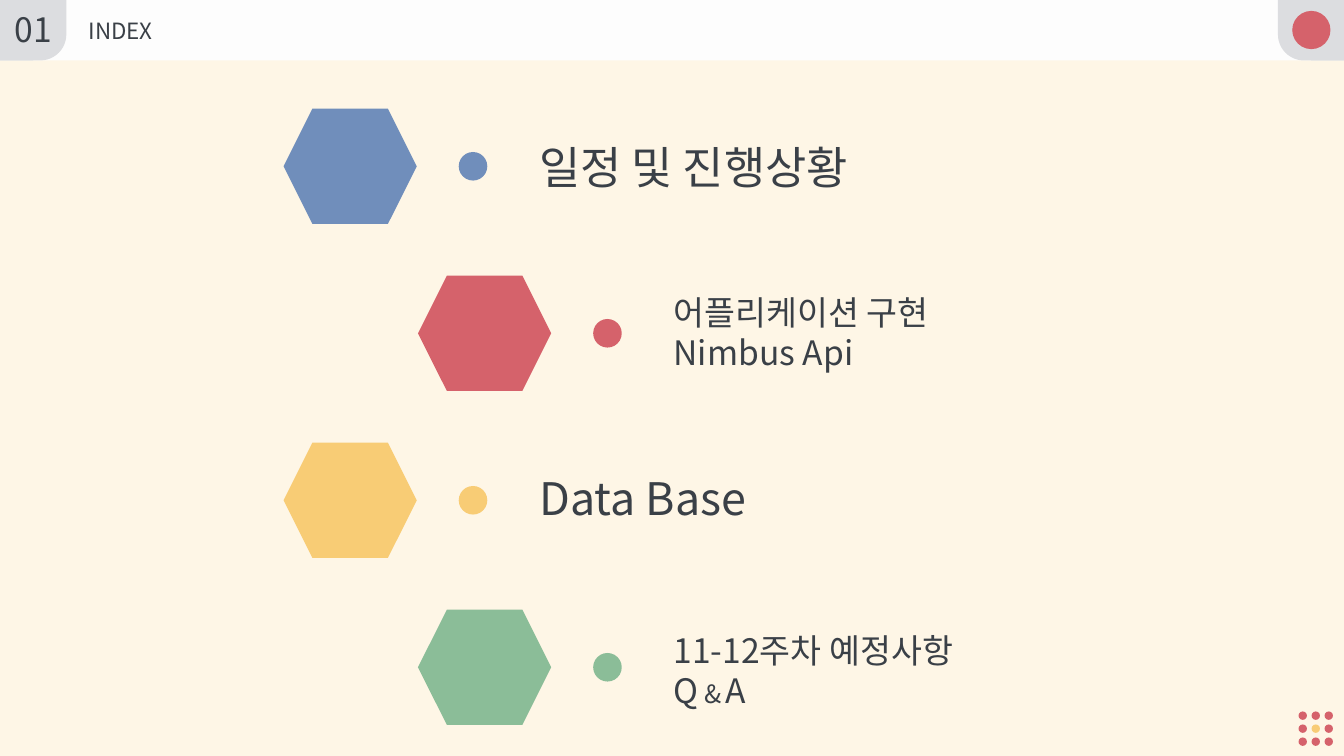
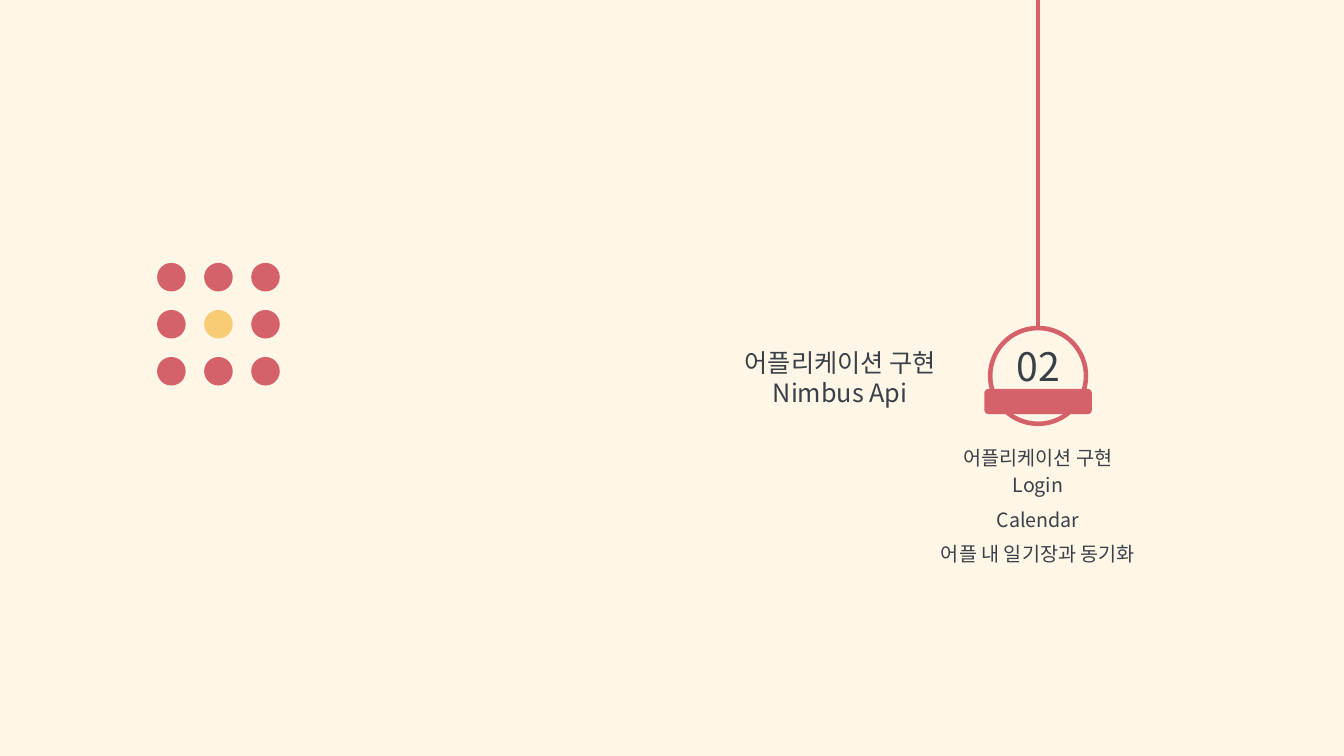
import pptx
import pptx.dml.color
import pptx.enum.shapes
import pptx.enum.text
import pptx.oxml.ns
import pptx.util
import lxml.etree

FONT = "Noto Sans CJK KR"
INK = "3A4047"
CREAM = "FEF6E6"
WHITE = "FDFDFD"
GRAY = "DCDDE0"
BLUE = "708EBB"
RED = "D5626B"
YELLOW = "F8CC75"
GREEN = "8BBD98"

color = pptx.dml.color.RGBColor.from_string
qualified = pptx.oxml.ns.qn
preset = pptx.enum.shapes.MSO_SHAPE
LEFT = pptx.enum.text.PP_ALIGN.LEFT
CENTER = pptx.enum.text.PP_ALIGN.CENTER

presentation = pptx.Presentation()
presentation.slide_width = pptx.util.Inches(13.33)
presentation.slide_height = pptx.util.Inches(7.5)
COLUMNS, ROWS = 160, 90
cell = presentation.slide_height / ROWS

background = presentation.slide_master.background.fill
background.solid()
background.fore_color.rgb = color(CREAM)
title_only = presentation.slide_layouts[5]


def add_filled(slide, kind, left, top, width, height, fill):
    box = [round(cell * value) for value in (left, top, width, height)]
    shape = slide.shapes.add_shape(kind, *box)
    shape.shadow.inherit = False
    shape.fill.solid()
    shape.fill.fore_color.rgb = color(fill)
    shape.line.fill.background()
    return shape


def write_text(shape, left, top, width, height, paragraphs, size, alignment=LEFT, gaps=()):
    shape.left, shape.top, shape.width, shape.height = [
        round(cell * value) for value in (left, top, width, height)]
    frame = shape.text_frame
    frame.word_wrap = True
    frame.auto_size = pptx.enum.text.MSO_AUTO_SIZE.NONE
    frame.vertical_anchor = pptx.enum.text.MSO_ANCHOR.TOP
    for index, runs in enumerate(paragraphs):
        paragraph = frame.add_paragraph() if index else frame.paragraphs[0]
        paragraph.alignment = alignment
        if index and gaps:
            paragraph.space_before = pptx.util.Pt(gaps[index - 1])
        for text, run_size in runs:
            run = paragraph.add_run()
            run.text = text
            run.font.size = pptx.util.Pt(run_size or size)
            run.font.name = FONT
            run.font.color.rgb = color(INK)
            east_asian = lxml.etree.SubElement(run.font._element, qualified("a:ea"))
            east_asian.set("typeface", FONT)


index_slide = presentation.slides.add_slide(title_only)
band_height, tab_width = 7.2, 7.9
add_filled(index_slide, preset.RECTANGLE, 0, 0, COLUMNS, band_height, WHITE)
for tab_left, edge_left, corners in (
        (0, 0, (0.43, 0)),
        (COLUMNS - tab_width, COLUMNS - tab_width / 2, (0, 0.43))):
    tab = add_filled(index_slide, preset.ROUND_2_DIAG_RECTANGLE,
                     tab_left, 0, tab_width, band_height, GRAY)
    tab.adjustments[0], tab.adjustments[1] = corners
    add_filled(index_slide, preset.RECTANGLE, edge_left, 0, tab_width / 2, band_height, GRAY)
add_filled(index_slide, preset.OVAL, 153.8, 1.3, 4.55, 4.55, RED)

number = index_slide.shapes.add_textbox(0, 0, 0, 0)
write_text(number, 0, 0.5, tab_width, 6, [[("01", None)]], 24, CENTER)
index_title = index_slide.shapes.title
index_slide.shapes.element.append(index_title.element)
write_text(index_title, 9.35, 1.45, 26.8, 4.4, [[("INDEX", None)]], 16)

entries = [
    (BLUE, 16, 32, [[("일정 및 진행상황", None)]]),
    (RED, 34.1, 24, [[("어플리케이션 구현 Nimbus Api", None)]]),
    (YELLOW, 55.4, 32, [[("Data Base", None)]]),
    (GREEN, 74.4, 24, [[("11-12주차 예정사항", None)],
                       [("Q", None), (" &", 18), (" ", 14), ("A", None)]]),
]
hexagon_height, dot_size = 13.7, 3.4
for row, (fill, text_top, size, paragraphs) in enumerate(entries):
    shift = 16 * (row % 2)
    top = 12.95 + 19.88 * row
    dot_top = top + (hexagon_height - dot_size) / 2
    add_filled(index_slide, preset.HEXAGON, 33.75 + shift, top, 15.85, hexagon_height, fill)
    add_filled(index_slide, preset.OVAL, 54.6 + shift, dot_top, dot_size, dot_size, fill)
    label = index_slide.shapes.add_textbox(0, 0, 0, 0)
    write_text(label, 63 + shift, text_top, 47.3, 10.9, paragraphs, size)

section_slide = presentation.slides.add_slide(title_only)
write_text(section_slide.shapes.title, 82.7, 40.7, 34.6, 8.5,
           [[("어플리케이션 구현", None)], [("Nimbus Api", None)]], 18, CENTER)

axis = 123.55
ring = add_filled(section_slide, preset.OVAL, axis - 5.7, 39.05, 11.4, 11.4, CREAM)
ring.line.color.rgb = color(RED)
ring.line.width = pptx.util.Pt(3.25)
add_filled(section_slide, preset.ROUNDED_RECTANGLE, axis - 6.4, 46.3, 12.8, 3, RED)

cord_left = round(cell * axis)
cord = section_slide.shapes.add_connector(
    pptx.enum.shapes.MSO_CONNECTOR.STRAIGHT, cord_left, 0, cord_left, ring.top)
cord.end_connect(ring, 0)
cord.line.color.rgb = color(RED)
cord.line.width = pptx.util.Pt(3)
lxml.etree.SubElement(cord.element.spPr, qualified("a:effectLst"))

number = section_slide.shapes.add_textbox(0, 0, 0, 0)
write_text(number, axis - 8.3, 40.1, 16.6, 6.8, [[("02", None)]], 28, CENTER)
topics = section_slide.shapes.add_textbox(0, 0, 0, 0)
topic_names = ["어플리케이션 구현", "Login", "Calendar", "어플 내 일기장과 동기화"]
write_text(topics, axis - 14.5, 52.55, 29, 15.5,
           [[(name, None)] for name in topic_names], 14, CENTER, gaps=(2, 8, 8))

for slide, left, top, size, pitch in (
        (index_slide, 154.55, 84.7, 1, 1.55),
        (section_slide, 18.7, 31.3, 3.4, 5.6)):
    for row in range(3):
        for column in range(3):
            fill = YELLOW if row == column == 1 else RED
            add_filled(slide, preset.OVAL, left + pitch * column, top + pitch * row,
                       size, size, fill)

presentation.save("out.pptx")
